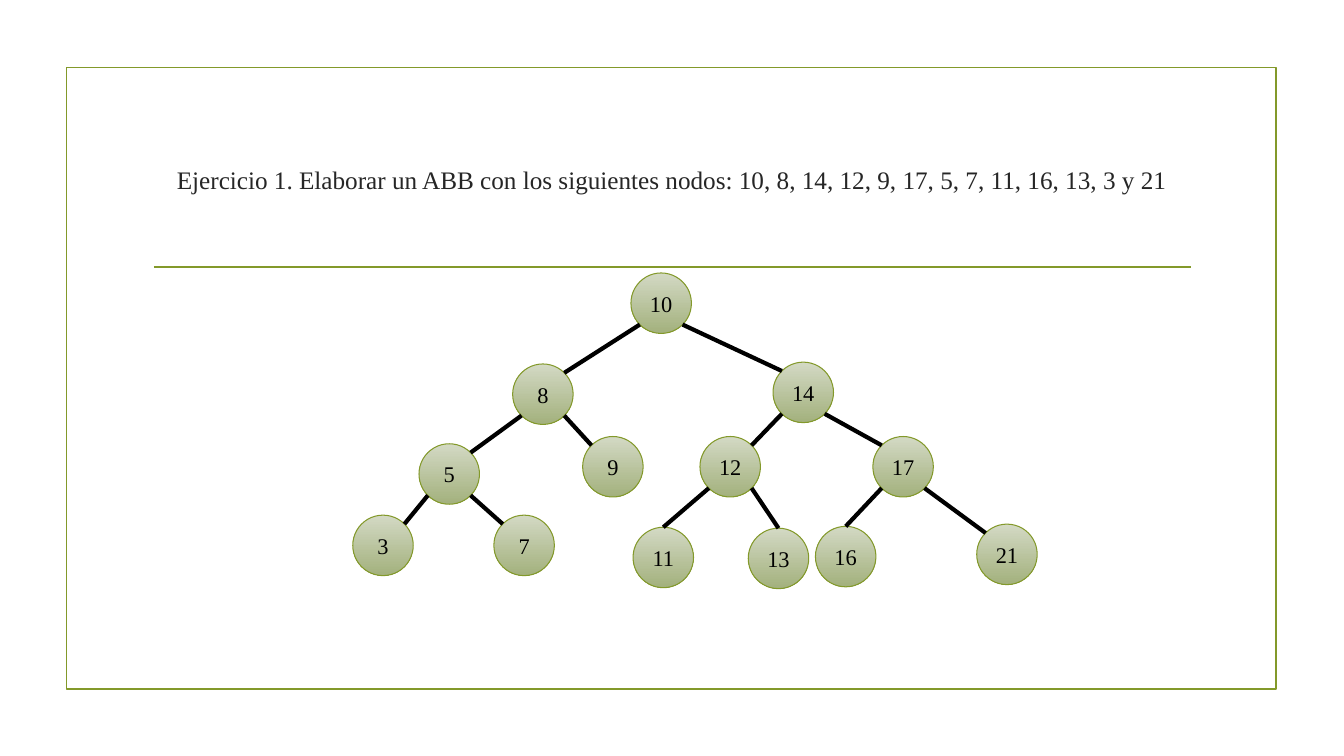
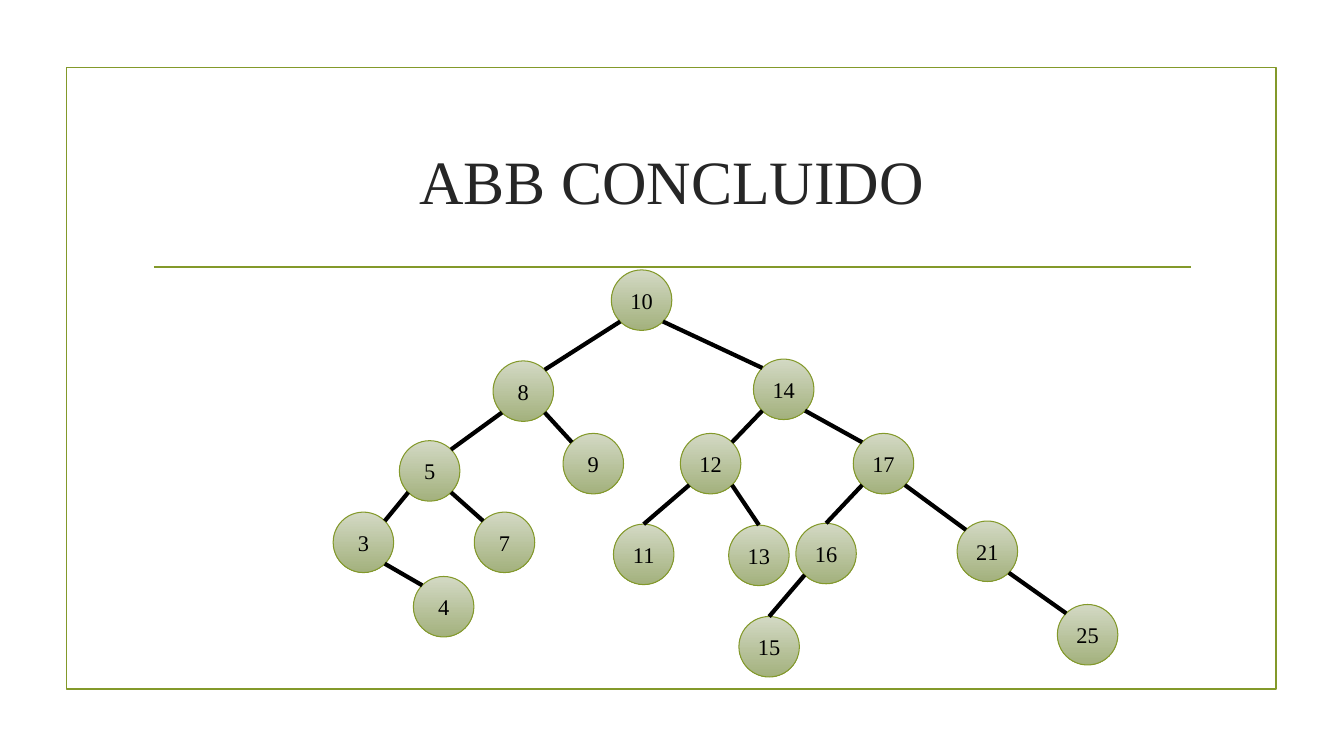
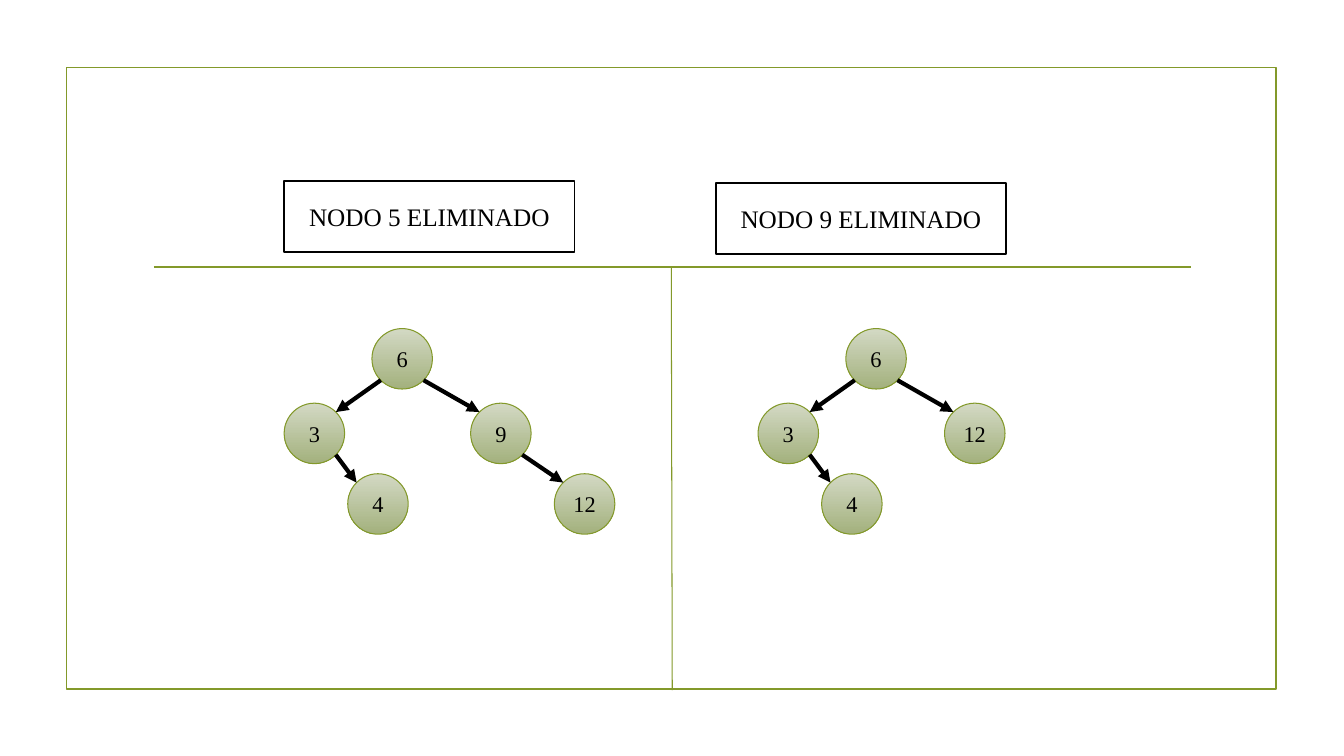
from pptx import Presentation
from pptx.dml.color import RGBColor
from pptx.enum import shapes, text
from pptx.oxml import parse_xml
from pptx.oxml.ns import nsdecls, qn
from pptx.util import Pt

GREEN, BLACK, GREY = "83992A", "000000", "262626"
SIZE = 43.2
EDGE = SIZE / 2 * 0.707
TOPS = {11, 13, 15, 16}


def rgb(code):
    return RGBColor.from_string(code)


def write(shape, words, size=16, color=BLACK, wrap=True):
    frame = shape.text_frame
    frame.word_wrap = wrap
    frame.auto_size = text.MSO_AUTO_SIZE.NONE
    frame.vertical_anchor = text.MSO_ANCHOR.MIDDLE
    para = frame.paragraphs[0]
    para.alignment = text.PP_ALIGN.CENTER
    run = para.add_run()
    run.text = words
    run.font.name = "Times New Roman"
    run.font.size = Pt(size)
    run.font.color.rgb = rgb(color)


deck = Presentation()
deck.slide_width, deck.slide_height = Pt(960), Pt(540)
plan = deck.slide_layouts.get_by_name("Title Only")
pages = [deck.slides.add_slide(plan) for n in range(3)]

base = plan.placeholders[0]
base.left, base.top, base.width, base.height = Pt(102), Pt(77), Pt(756), Pt(103)

first = [
    (10, 450.7, 195, None), (8, 366.2, 260, 10), (14, 552.2, 258.7, 10),
    (5, 299.3, 317, 8), (9, 416.2, 311.8, 8), (12, 500, 311.8, 14),
    (17, 623.5, 311.8, 14), (3, 252, 368, 5), (7, 352.8, 368, 5),
    (11, 452.2, 376.6, 12), (13, 534.5, 377.3, 12),
    (16, 582.5, 376, 17), (21, 697.7, 374.4, 17),
]
second = first + [(4, 309.3, 414, 3), (15, 541.8, 442.6, 16), (25, 769.3, 434, 21)]
small = [(6, 265.7, 234.7, None), (3, 203, 288, 6), (4, 248.4, 338.4, 3)]
left = small + [(9, 336.2, 288, 6), (12, 396, 338.4, 9)]
right = small + [(12, 336.2, 288, 6)]

trees = [
    (0, first, 0, 0, False),
    (1, second, -14, -2.2, False),
    (2, left, 0, 0, True),
    (2, right, 338.5, 0, True),
]
lines = [
    (0, 110, 190.8, 850.5, 190.8, GREEN, 1.25, False),
    (2, 479.5, 190.8, 480.2, 493, GREEN, 0.75, False),
]

for page, tree, dx, dy, arrow in trees:
    spots = {}
    for key, x, y, up in tree:
        x, y = x + dx, y + dy
        node = pages[page].shapes.add_shape(
            shapes.MSO_SHAPE.OVAL, Pt(x), Pt(y), Pt(SIZE), Pt(SIZE))
        node.shadow.inherit = False
        node.fill.gradient()
        node.fill.gradient_angle = 270
        for stop, code, place in zip(node.fill.gradient_stops, ("D3D9C4", "A3B17D"), (0, 1)):
            stop.color.rgb = rgb(code)
            stop.position = place
        node.line.color.rgb = rgb(GREEN)
        node.line.width = Pt(0.75)
        write(node, str(key), wrap=False)
        spots[key] = x + SIZE / 2, y + SIZE / 2
        if up is not None:
            side = -1 if key < up else 1
            px, py = spots[up]
            cx, cy = spots[key]
            if key in TOPS:
                end = cx, cy - SIZE / 2
            else:
                end = cx - side * EDGE, cy - EDGE
            lines.append((page, px + side * EDGE, py + EDGE, *end, BLACK, 3, arrow))

links = []
for page, x1, y1, x2, y2, code, width, arrow in lines:
    link = pages[page].shapes.add_connector(
        shapes.MSO_CONNECTOR.STRAIGHT, Pt(x1), Pt(y1), Pt(x2), Pt(y2))
    link.line.color.rgb = rgb(code)
    link.line.width = Pt(width)
    if arrow:
        link.line._get_or_add_ln().append(
            parse_xml(f'<a:tailEnd {nsdecls("a")} type="triangle"/>'))
    link.element.spPr.append(parse_xml(f'<a:effectLst {nsdecls("a")}/>'))
    links.append(link)

boxes = [
    (0, 47.5, 48.2, 864, 444, GREEN, None),
    (2, 203, 129.5, 207.5, 50.5, BLACK, "NODO 5 ELIMINADO"),
    (2, 511.2, 131, 207.5, 50.5, BLACK, "NODO 9 ELIMINADO"),
]
rects = []
for page, x, y, w, h, code, words in boxes:
    rect = pages[page].shapes.add_shape(
        shapes.MSO_SHAPE.RECTANGLE, Pt(x), Pt(y), Pt(w), Pt(h))
    rect.shadow.inherit = False
    rect.line.color.rgb = rgb(code)
    rect.line.width = Pt(1.25)
    if words:
        rect.fill.solid()
        rect.fill.fore_color.rgb = rgb("FFFFFF")
        write(rect, words, size=18)
    else:
        rect.fill.background()
    rects.append(rect)

for num, part in enumerate((rects[0], links[0]), 101):
    next(part.element.iter(qn("p:cNvPr"))).set("id", str(num))
    plan.shapes.element.append(part.element)

titles = [
    ("Ejercicio 1. Elaborar un ABB con los siguientes nodos: "
     "10, 8, 14, 12, 9, 17, 5, 7, 11, 16, 13, 3 y 21", 18),
    ("ABB CONCLUIDO", 44),
]
for page, (words, size) in zip(pages, titles):
    write(page.shapes.title, words, size=size, color=GREY)
blank = pages[2].shapes.title.element
blank.getparent().remove(blank)

deck.save("out.pptx")
